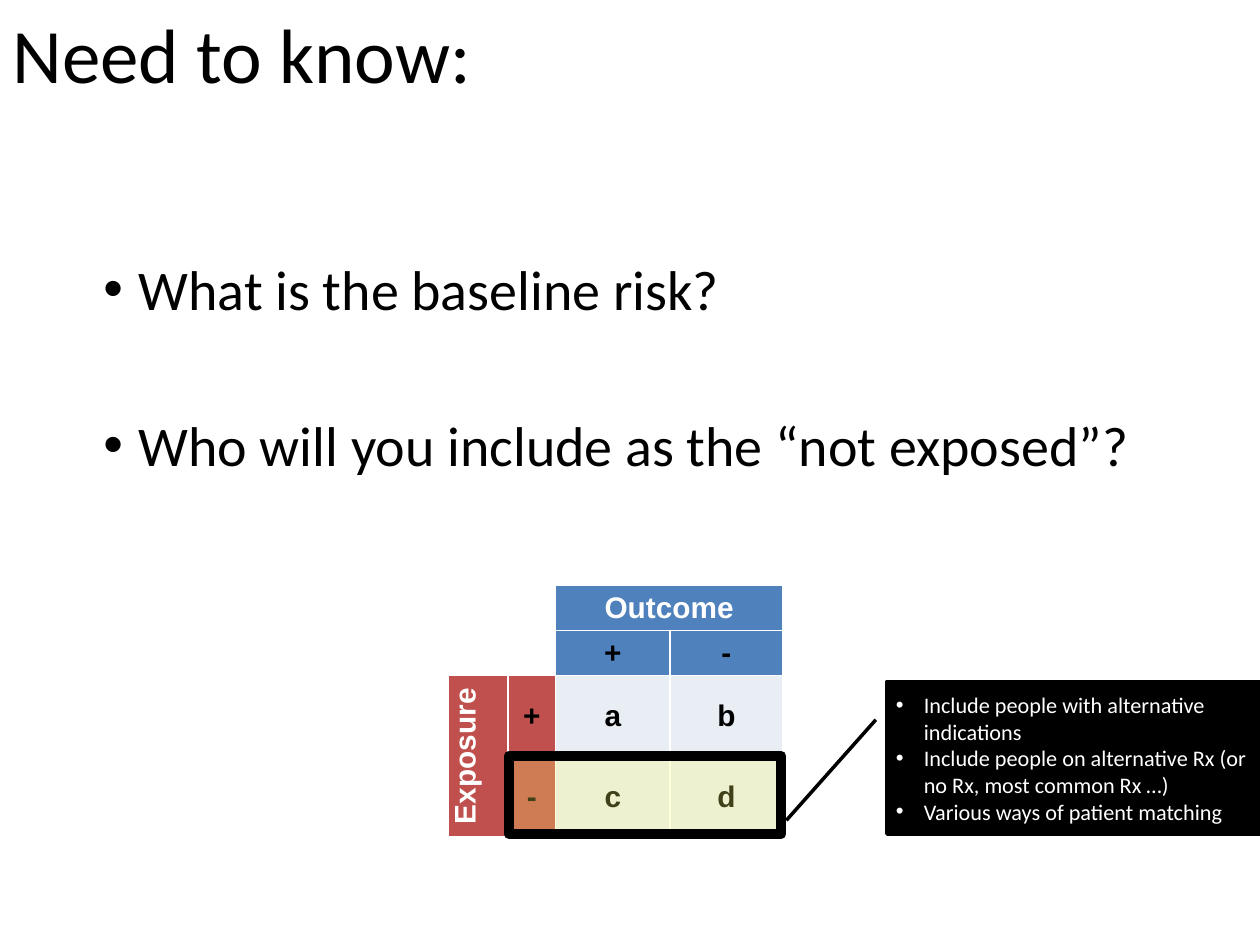
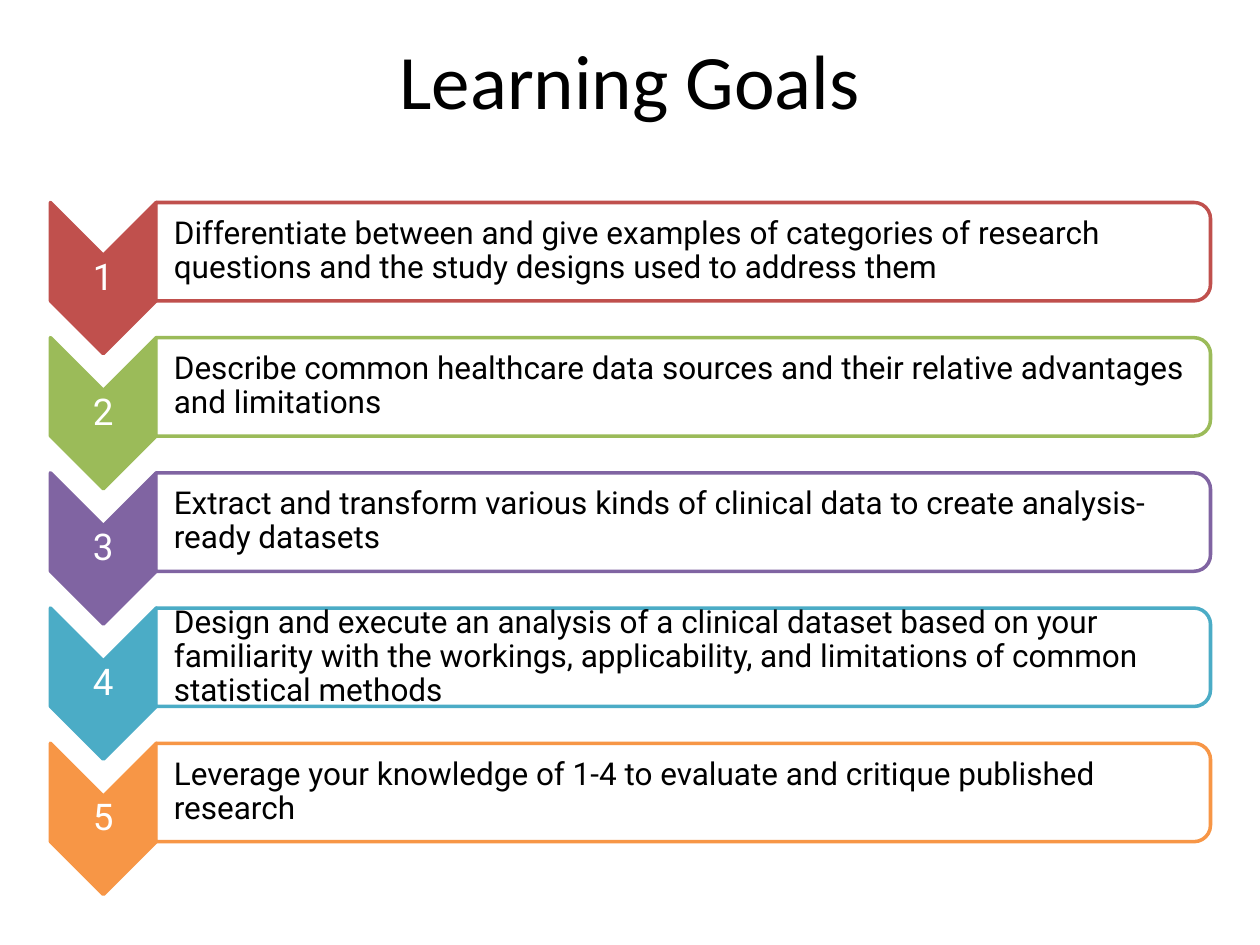
from dataclasses import dataclass
from typing import Any

from lxml import etree
from pptx import Presentation
from pptx.dml.color import RGBColor
from pptx.enum.shapes import MSO_SHAPE
from pptx.enum.text import MSO_ANCHOR, MSO_AUTO_SIZE, PP_ALIGN
from pptx.oxml.ns import qn
from pptx.util import Pt

LEFT, CENTER = PP_ALIGN.LEFT, PP_ALIGN.CENTER
TOP, MIDDLE = MSO_ANCHOR.TOP, MSO_ANCHOR.MIDDLE
NO_AUTOSIZE = MSO_AUTO_SIZE.NONE
RECTANGLE, CHEVRON = MSO_SHAPE.RECTANGLE, MSO_SHAPE.CHEVRON
CALLOUT, PANEL = MSO_SHAPE.LINE_CALLOUT_1, MSO_SHAPE.ROUND_2_SAME_RECTANGLE
TITLE_AND_CONTENT, TITLE_ONLY = 1, 5


@dataclass(frozen=True)
class Theme:
    black: str = "000000"
    white: str = "FFFFFF"
    blue: str = "4F81BD"
    red: str = "C0504D"
    green: str = "9BBB59"
    purple: str = "8064A2"
    teal: str = "4BACC6"
    orange: str = "F79646"
    pale: str = "E9EDF4"
    yellow: str = "FFFF66"
    title_size: float = 44
    body_size: float = 32
    number_size: float = 21
    goal_size: float = 18
    table_size: float = 17
    note_size: float = 12.7


THEME = Theme()


@dataclass(frozen=True)
class Frame:
    left: float
    top: float
    width: float
    height: float

    def lengths(self) -> tuple[Pt, ...]:
        return Pt(self.left), Pt(self.top), Pt(self.width), Pt(self.height)

    def turned(self) -> "Frame":
        shift = (self.width - self.height) / 2
        return Frame(self.left + shift, self.top - shift, self.height, self.width)


@dataclass(frozen=True)
class TextStyle:
    size: float
    font: str = "Calibri"
    color: str = THEME.black
    bold: bool = False
    align: Any = LEFT
    anchor: Any = MIDDLE
    margins: tuple[float, float] = (7.2, 3.6)
    line_spacing: float = 1.0
    gap: float = 0
    indent: float = 0
    hanging: float = 0


@dataclass(frozen=True)
class TableCell:
    row: int
    column: int
    text: str
    fill: str
    color: str = THEME.black
    rows: int = 1
    columns: int = 1
    vertical: bool = False


@dataclass(frozen=True)
class Goal:
    color: str
    text: str


TABLE_TEXT = {"size": THEME.table_size, "font": "Arial", "bold": True, "align": CENTER}
NUMBER_STYLE = TextStyle(THEME.number_size, "Roboto", THEME.white, align=CENTER,
                         margins=(0.7, 0.7), line_spacing=0.9)
GOAL_STYLE = TextStyle(THEME.goal_size, "Roboto", margins=(10.08, 0.7), line_spacing=0.9)
BODY_STYLE = TextStyle(THEME.body_size, anchor=TOP, gap=50.6, indent=36, hanging=20.16)
NOTE_STYLE = TextStyle(THEME.note_size, color=THEME.white, margins=(5.04, 2.88),
                       indent=16, hanging=16)

QUESTIONS = ["What is the baseline risk?", "Who will you include as the “not exposed”?"]
NOTES = [
    "Include people with alternative indications",
    "Include people on alternative Rx (or no Rx, most common Rx …)",
    "Various ways of patient matching",
]
COLUMN_WIDTHS = (34, 27.2, 65.5, 64.3)
ROW_HEIGHTS = (25.7, 25.7, 46.2, 46.2)
CELLS = [
    TableCell(0, 2, "Outcome", THEME.blue, THEME.white, columns=2),
    TableCell(1, 2, "+", THEME.blue),
    TableCell(1, 3, "-", THEME.blue),
    TableCell(2, 0, "Exposure", THEME.red, THEME.white, rows=2, vertical=True),
    TableCell(2, 1, "+", THEME.red),
    TableCell(2, 2, "a", THEME.pale),
    TableCell(2, 3, "b", THEME.pale),
    TableCell(3, 1, "-", THEME.red),
    TableCell(3, 2, "c", THEME.pale),
    TableCell(3, 3, "d", THEME.pale),
]
GOALS = [
    Goal(THEME.red, "Differentiate between and give examples of categories of research "
                    "questions and the study designs used to address them"),
    Goal(THEME.green, "Describe common healthcare data sources and their relative "
                      "advantages and limitations"),
    Goal(THEME.purple, "Extract and transform various kinds of clinical data to create "
                       "analysis-ready datasets"),
    Goal(THEME.teal, "Design and execute an analysis of a clinical dataset based on your "
                     "familiarity with the workings, applicability, and limitations of "
                     "common statistical methods"),
    Goal(THEME.orange, "Leverage your knowledge of 1-4 to evaluate and critique published "
                       "research"),
]
GOAL_TOP, GOAL_PITCH = 115.7, 77.26


def assign(target: Any, values: dict[str, Any]) -> None:
    for name, value in values.items():
        setattr(target, name, value)


def add_bullet(para: Any, style: TextStyle) -> None:
    properties = para._p.get_or_add_pPr()
    properties.set("marL", str(Pt(style.indent)))
    properties.set("indent", str(-Pt(style.hanging)))
    etree.SubElement(properties, qn("a:buFont")).set("typeface", "Arial")
    etree.SubElement(properties, qn("a:buChar")).set("char", "•")


def write_paragraphs(text_frame: Any, lines: list[str], style: TextStyle) -> None:
    for index, line in enumerate(lines):
        para = text_frame.paragraphs[0] if index == 0 else text_frame.add_paragraph()
        assign(para, {"alignment": style.align, "line_spacing": style.line_spacing,
                      "space_before": Pt(style.gap if index else 0)})
        if style.hanging:
            add_bullet(para, style)
        span = para.add_run()
        span.text = line
        assign(span.font, {"name": style.font, "size": Pt(style.size), "bold": style.bold})
        span.font.color.rgb = RGBColor.from_string(style.color)


def write_text(box: Any, lines: list[str], style: TextStyle) -> None:
    side, edge = (Pt(margin) for margin in style.margins)
    assign(box.text_frame, {
        "word_wrap": True, "auto_size": NO_AUTOSIZE, "vertical_anchor": style.anchor,
        "margin_left": side, "margin_right": min(side, Pt(7.2)),
        "margin_top": edge, "margin_bottom": edge,
    })
    write_paragraphs(box.text_frame, lines, style)


def fill_placeholder(box: Any, frame: Frame, lines: list[str], style: TextStyle) -> None:
    assign(box, dict(zip(("left", "top", "width", "height"), frame.lengths())))
    write_text(box, lines, style)


def add_page(deck: Any, layout: int, title: str, align: Any, anchor: Any) -> Any:
    page = deck.slides.add_slide(deck.slide_layouts[layout])
    fill_placeholder(page.shapes.title, Frame(0, 0, 720, 90), [title],
                     TextStyle(THEME.title_size, align=align, anchor=anchor))
    return page


def add_shape(page: Any, kind: Any, frame: Frame, fill: str, line: str,
              weight: float = 2, opacity: int = 100, rotation: float = 0) -> Any:
    shape = page.shapes.add_shape(kind, *frame.lengths())
    shape.rotation = rotation
    shape.shadow.inherit = False
    shape.fill.solid()
    shape.fill.fore_color.rgb = RGBColor.from_string(fill)
    if opacity < 100:
        color = shape.fill._xPr.find(f".//{qn('a:srgbClr')}")
        etree.SubElement(color, qn("a:alpha")).set("val", str(opacity * 1000))
    shape.line.color.rgb = RGBColor.from_string(line)
    shape.line.width = Pt(weight)
    return shape


def add_text(page: Any, frame: Frame, text: str, style: TextStyle) -> None:
    write_text(page.shapes.add_textbox(*frame.lengths()), [text], style)


def draw_borders(cell: Any) -> None:
    properties = cell._tc.get_or_add_tcPr()
    for side in ("lnL", "lnR", "lnT", "lnB"):
        line = etree.SubElement(properties, qn(f"a:{side}"), w=str(Pt(1)))
        solid = etree.SubElement(line, qn("a:solidFill"))
        etree.SubElement(solid, qn("a:srgbClr")).set("val", THEME.white)


def add_risk_table(page: Any, frame: Frame) -> None:
    table = page.shapes.add_table(len(ROW_HEIGHTS), len(COLUMN_WIDTHS),
                                  *frame.lengths()).table
    assign(table, {"first_row": False, "horz_banding": False})
    for column, width in zip(table.columns, COLUMN_WIDTHS):
        column.width = Pt(width)
    for row, height in zip(table.rows, ROW_HEIGHTS):
        row.height = Pt(height)
    for cell in table.iter_cells():
        assign(cell, {"margin_left": Pt(5), "margin_right": Pt(5), "margin_top": 0,
                      "margin_bottom": 0, "vertical_anchor": MIDDLE})
        draw_borders(cell)
        cell.fill.background()
    for item in CELLS:
        cell = table.cell(item.row, item.column)
        if item.rows * item.columns > 1:
            cell.merge(table.cell(item.row + item.rows - 1, item.column + item.columns - 1))
        if item.vertical:
            cell._tc.get_or_add_tcPr().set("vert", "vert270")
        cell.fill.solid()
        cell.fill.fore_color.rgb = RGBColor.from_string(item.fill)
        write_paragraphs(cell.text_frame, [item.text],
                         TextStyle(color=item.color, **TABLE_TEXT))


def build_need_to_know(deck: Any) -> None:
    page = add_page(deck, TITLE_AND_CONTENT, "Need to know:", LEFT, TOP)
    fill_placeholder(page.placeholders[1], Frame(36, 141.8, 648, 229.7),
                     QUESTIONS, BODY_STYLE)
    add_risk_table(page, Frame(256.3, 334.6, sum(COLUMN_WIDTHS), sum(ROW_HEIGHTS)))
    add_shape(page, RECTANGLE, Frame(290.9, 432, 155.5, 44.6), THEME.yellow, THEME.black,
              weight=6, opacity=25)
    callout = add_shape(page, CALLOUT, Frame(506.9, 389.5, 213.1, 87.1),
                        THEME.black, THEME.black)
    for index, value in enumerate((0.25, -0.03, 0.91, -0.27)):
        callout.adjustments[index] = value
    write_text(callout, NOTES, NOTE_STYLE)


def add_goal(page: Any, number: int, goal: Goal) -> None:
    top = GOAL_TOP + (number - 1) * GOAL_PITCH
    add_shape(page, CHEVRON, Frame(28.8, top, 60.5, 86.4).turned(), goal.color, goal.color,
              rotation=90)
    add_text(page, Frame(28.8, top + 30.3, 60.5, 25.9), str(number), NUMBER_STYLE)
    add_shape(page, PANEL, Frame(89.1, top, 602.6, 56.2).turned(), THEME.white, goal.color,
              opacity=90, rotation=90)
    add_text(page, Frame(89.3, top + 2.7, 599.8, 50.4), goal.text, GOAL_STYLE)


def build_learning_goals(deck: Any) -> None:
    page = add_page(deck, TITLE_ONLY, "Learning Goals", CENTER, MIDDLE)
    for number, goal in enumerate(GOALS, start=1):
        add_goal(page, number, goal)


def main() -> None:
    deck = Presentation()
    assign(deck, {"slide_width": Pt(720), "slide_height": Pt(540)})
    build_need_to_know(deck)
    build_learning_goals(deck)
    deck.save("out.pptx")


if __name__ == "__main__":
    main()
